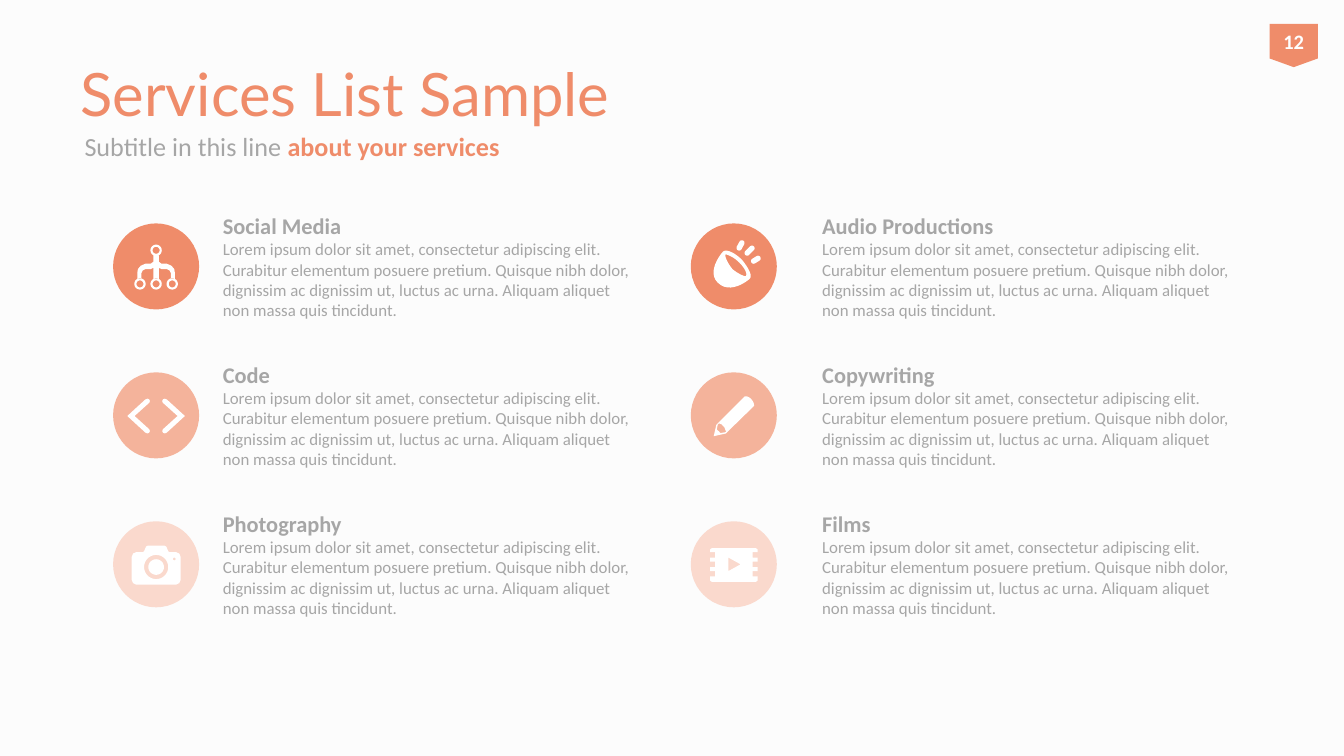
from math import atan2, cos, pi, sin

from pptx import Presentation
from pptx.dml.color import RGBColor
from pptx.enum.shapes import MSO_SHAPE
from pptx.enum.text import MSO_ANCHOR, PP_ALIGN
from pptx.util import Pt

BACKGROUND = RGBColor(0xFC, 0xFC, 0xFC)
CORAL = RGBColor(0xEF, 0x8C, 0x6A)
MEDIUM_CORAL = RGBColor(0xF4, 0xB3, 0x9B)
PALE_CORAL = RGBColor(0xFA, 0xD9, 0xCD)
GRAY = RGBColor(0xA6, 0xA6, 0xA6)
WHITE = RGBColor(0xFF, 0xFF, 0xFF)

BADGE_SIZE = 46.1
ICON_GRID = 64  # icons are drawn on a 64 x 64 grid that fills the badge
ROW_TOP, ROW_STEP = 119.7, 79.8
COLUMNS = ((60.6, 112.3), (370.1, 433.4))  # badge left, text left
DESCRIPTION = (
    "Lorem ipsum dolor sit amet, consectetur adipiscing elit. Curabitur elementum "
    "posuere pretium. Quisque nibh dolor, dignissim ac dignissim ut, luctus ac urna. "
    "Aliquam aliquet non massa quis tincidunt."
)


def arc(x, y, radius, start=0, sweep=2 * pi, steps=32):
    angles = [start + sweep * step / steps for step in range(steps + 1)]
    return [(x + radius * cos(angle), y + radius * sin(angle)) for angle in angles]


def capsule(x1, y1, x2, y2, radius):
    angle = atan2(y2 - y1, x2 - x1)
    return (arc(x2, y2, radius, angle - pi / 2, pi, 10)
            + arc(x1, y1, radius, angle + pi / 2, pi, 10))


def bezier(start, *curves, steps=12):
    """Sample a chain of cubic curves, each given as two controls and an end."""
    points = [start]
    for control_1, control_2, end in curves:
        corners = (points[-1], control_1, control_2, end)
        for step in range(1, steps + 1):
            t = step / steps
            weights = ((1 - t) ** 3, 3 * t * (1 - t) ** 2, 3 * t * t * (1 - t), t ** 3)
            points.append(tuple(
                sum(w * corner[axis] for w, corner in zip(weights, corners))
                for axis in (0, 1)))
    return points


def mirrored(points):
    return [(ICON_GRID - x, y) for x, y in reversed(points)]


def network_icon():
    branch = [(32, 24), (34, 24), (34, 28.5), (36, 30), (40, 30), (43.5, 31.5),
              (45.5, 34), (46, 37), (46, 41.2), (43, 41.2), (43, 37), (42, 35),
              (40, 34), (36, 34), (34, 33), (34, 41.2), (32, 41.2)]
    nodes = ((32, 20), (20, 45), (32, 45), (44, 45))
    rings = [arc(x, y, radius) for x, y in nodes for radius in (4.2, 2.6)]
    return [branch + mirrored(branch), *rings]


def code_icon():
    bracket = [(27.4, 21.3), (26.8, 20), (25.5, 19.6), (24, 20.2), (10.6, 32.5),
               (24, 44.8), (25.5, 45.4), (26.8, 45), (27.4, 43.7), (27, 42.4),
               (16, 32.5), (27, 22.6)]
    return [bracket, mirrored(bracket)]


def camera_icon():
    half = [(32, 18), (38, 18), (39.5, 18.8), (41, 22.3), (42, 23), (47, 23),
            (49.2, 24), (50.2, 26.5), (50.2, 43.5), (49.2, 46), (47, 47), (32, 47)]
    return [half + mirrored(half), arc(32, 34, 9), arc(32, 34, 5.8), arc(45.5, 28, 1)]


def pencil_icon():
    outline = bezier((45, 20), ((42, 17), (40, 18), (40, 18)))
    outline += [(19, 39), (17, 47.5), (26, 45.5), (47, 25)]
    outline += bezier((47, 25), ((47, 25), (47.5, 23), (45, 20)))
    point = [(26, 44.5), (22, 45.2), (21, 44), (19.3, 42.5), (20, 39), (21, 38),
             (23, 38.8), (25, 41), (26, 43.5)]
    return [outline, point]


def film_icon():
    half = [(32, 20), (48.5, 20), (49.7, 21)]
    for notch_top in (23, 30, 37):
        notch_bottom = notch_top + 4
        half += [(49.7, notch_top), (46, notch_top), (46, notch_bottom),
                 (49.7, notch_bottom)]
    half += [(49.7, 44), (48.5, 45), (32, 45)]
    return [half + mirrored(half), [(28, 27), (37, 32), (28, 37)]]


def speaker_icon():
    bell = bezier((24, 21), ((22, 23), (12, 36), (20, 44)), ((29, 53), (42, 43), (44, 41)),
                  ((46, 39), (43, 33), (38, 27)), ((32, 21), (26, 19), (24, 21)))
    mouth = bezier((41, 39), ((41, 40), (36, 38), (31, 34)), ((27, 29), (25, 24), (26, 23)),
                   ((26, 23), (31, 24), (36, 29)), ((41, 34), (42, 38), (41, 39)))
    rays = ((36, 18.2, 38, 14.5), (42, 22, 45.5, 18.5), (46.8, 28, 50, 26))
    return [bell, mouth, *(capsule(*ray, 2) for ray in rays)]


SERVICES = (
    (("Social Media", network_icon), ("Audio Productions", speaker_icon)),
    (("Code", code_icon), ("Copywriting", pencil_icon)),
    (("Photography", camera_icon), ("Films", film_icon)),
)
ROW_COLORS = (CORAL, MEDIUM_CORAL, PALE_CORAL)


def paint(shape, color):
    shape.shadow.inherit = False
    shape.fill.solid()
    shape.fill.fore_color.rgb = color
    shape.line.fill.background()


def add_text(slide, left, top, width, height, anchor=MSO_ANCHOR.MIDDLE):
    """Add a wrapping text box and return its first paragraph."""
    frame = slide.shapes.add_textbox(Pt(left), Pt(top), Pt(width), Pt(height)).text_frame
    frame.word_wrap = True
    frame.vertical_anchor = anchor
    return frame.paragraphs[0]


def style(font, size, color, name="Calibri", bold=False):
    font.size, font.name, font.bold = Pt(size), name, bold
    font.color.rgb = color


def add_run(paragraph, text, size, color, bold=False):
    run = paragraph.add_run()
    run.text = text
    style(run.font, size, color, bold=bold)


def add_header(slide, left, top, width):
    title = add_text(slide, left, top, width, 41.8)
    title.text = "Services List Sample"
    style(title.font, 32, CORAL, "Lato")
    subtitle = add_text(slide, left + 2.2, top + 35.3, width, 28.8)
    add_run(subtitle, "Subtitle in this line ", 14, GRAY)
    add_run(subtitle, "about your services", 14, CORAL, bold=True)


def add_page_number(slide, left, top, width, height):
    flag = slide.shapes.add_shape(MSO_SHAPE.FLOWCHART_OFFPAGE_CONNECTOR,
                                  Pt(left), Pt(top), Pt(width), Pt(height))
    paint(flag, CORAL)
    frame = flag.text_frame
    frame.margin_left = frame.margin_right = frame.margin_top = frame.margin_bottom = 0
    frame.vertical_anchor = MSO_ANCHOR.MIDDLE
    paragraph = frame.paragraphs[0]
    paragraph.text = "12"
    paragraph.alignment = PP_ALIGN.CENTER
    style(paragraph.font, 11, WHITE, bold=True)


def add_badge(slide, left, top, size, color, contours):
    shapes = slide.shapes.add_group_shape().shapes
    paint(shapes.add_shape(MSO_SHAPE.OVAL, Pt(left), Pt(top), Pt(size), Pt(size)), color)
    unit = size / ICON_GRID
    placed = [[(Pt(left + x * unit), Pt(top + y * unit)) for x, y in contour]
              for contour in contours]
    builder = shapes.build_freeform(*placed[0][0], scale=1.0)
    builder.add_line_segments(placed[0][1:], close=True)
    for contour in placed[1:]:
        builder.move_to(*contour[0])
        builder.add_line_segments(contour[1:], close=True)
    paint(builder.convert_to_shape(), WHITE)


def add_service(slide, left, text_left, top, name, contours, color):
    add_badge(slide, left, top, BADGE_SIZE, color, contours)
    paragraph = add_text(slide, text_left, top - 9.6, 232.6, 70.6, MSO_ANCHOR.TOP)
    add_run(paragraph, name, 12, GRAY, bold=True)
    paragraph.add_line_break()
    add_run(paragraph, DESCRIPTION, 9, GRAY)


def main():
    presentation = Presentation()
    presentation.slide_width, presentation.slide_height = Pt(720), Pt(405)
    slide = presentation.slides.add_slide(presentation.slide_layouts[6])
    slide.background.fill.solid()
    slide.background.fill.fore_color.rgb = BACKGROUND
    add_header(slide, 36, 28.8, 648)
    for row, (services, color) in enumerate(zip(SERVICES, ROW_COLORS)):
        for (left, text_left), (name, icon) in zip(COLUMNS, services):
            add_service(slide, left, text_left, ROW_TOP + row * ROW_STEP, name, icon(), color)
    add_page_number(slide, 680.2, 12.8, 25.8, 23.2)
    presentation.save("out.pptx")


if __name__ == "__main__":
    main()
